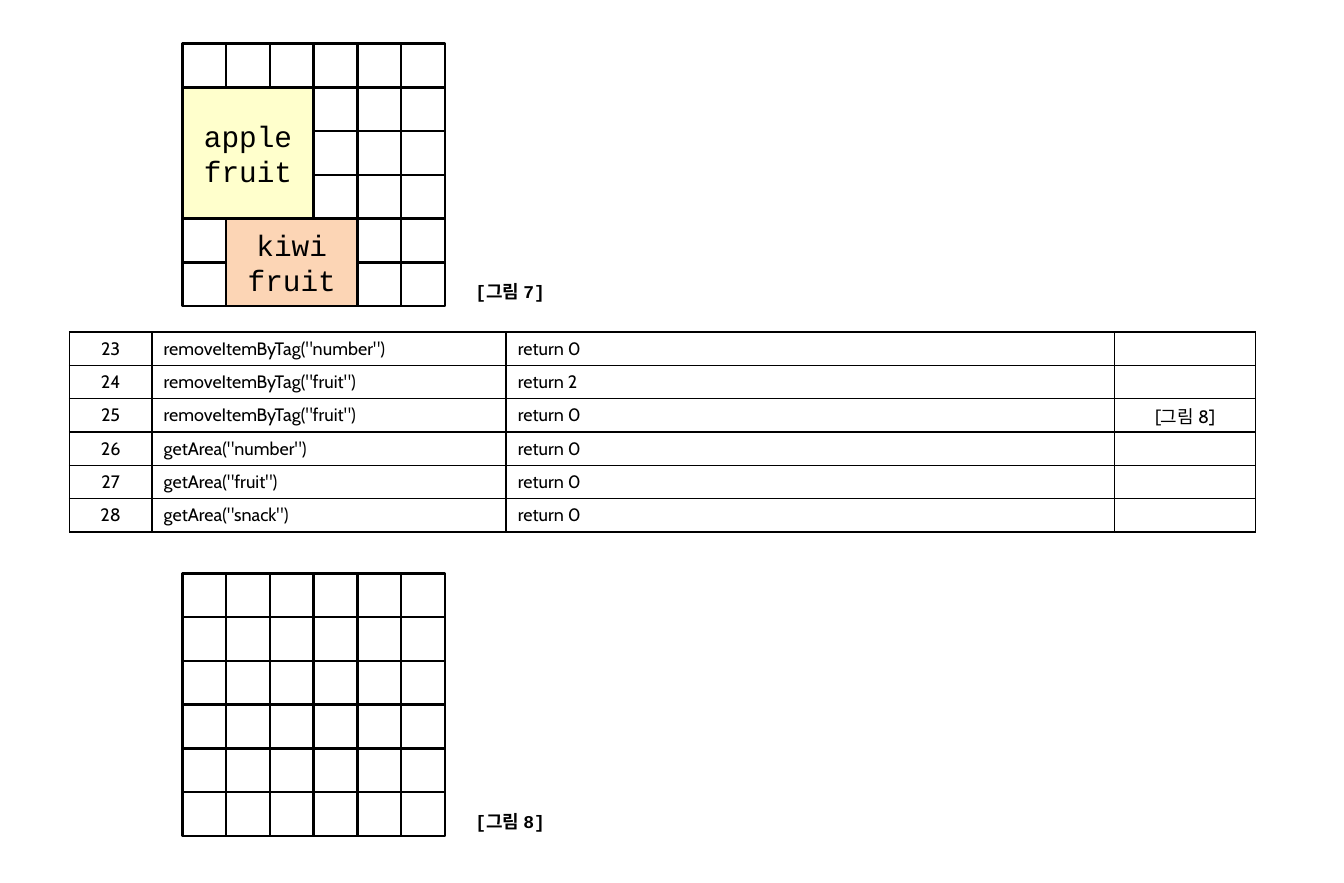
from lxml.etree import SubElement
from pptx import Presentation
from pptx.dml.color import RGBColor
from pptx.enum.shapes import MSO_SHAPE
from pptx.enum.text import MSO_ANCHOR, PP_ALIGN
from pptx.oxml.ns import qn
from pptx.util import Inches, Pt

THEME = {
    "ink": "000000",
    "apple": "FFFFCC",
    "kiwi": "FCD5B5",
    "table_font": "Cabin",
    "figure_font": "Courier New",
    "small": 11,
    "large": 18,
    "grid_line": 1.5,
    "table_line": 1,
}


def write(frame, text, font, size, bold=False, align=PP_ALIGN.LEFT, spacing=None):
    frame.word_wrap = True
    para = frame.paragraphs[0]
    para.alignment = align
    if spacing:
        para.line_spacing = spacing
    if not text:
        SubElement(para._p, qn("a:endParaRPr"), sz=str(size * 100))
        return
    span = para.add_run()
    span.text = text
    span.font.name = font
    span.font.size = Pt(size)
    span.font.bold = bold
    span.font.color.rgb = RGBColor.from_string(THEME["ink"])


def add_block(group, left, top, width, height, fill=None):
    box = group.shapes.add_shape(
        MSO_SHAPE.RECTANGLE, Inches(left), Inches(top), Inches(width), Inches(height)
    )
    box.shadow.inherit = False
    box.line.color.rgb = RGBColor.from_string(THEME["ink"])
    box.line.width = Pt(THEME["grid_line"])
    if fill:
        box.fill.solid()
        box.fill.fore_color.rgb = RGBColor.from_string(fill)
    else:
        box.fill.background()
    return box


deck = Presentation()
deck.slide_width, deck.slide_height = Inches(11.42), Inches(7.5)
page = deck.slides.add_slide(deck.slide_layouts[6])

grid_left, grid_size, count = 1.55, 2.23, 6
side = grid_size / count
items = [
    ("apple fruit", 0, 1, 3, 3, THEME["apple"]),
    ("kiwi fruit", 1, 4, 3, 2, THEME["kiwi"]),
]
figures = [("[그림 7]", 0.37, items), ("[그림 8]", 4.87, [])]

for caption, grid_top, placed in figures:
    group = page.shapes.add_group_shape()
    for index in range(count * count):
        row, column = divmod(index, count)
        add_block(group, grid_left + column * side, grid_top + row * side, side, side)
    for label, column, row, columns, rows, fill in placed:
        box = add_block(
            group, grid_left + column * side, grid_top + row * side,
            columns * side, rows * side, fill,
        )
        box.text_frame.vertical_anchor = MSO_ANCHOR.MIDDLE
        write(box.text_frame, label, THEME["figure_font"], THEME["large"],
              align=PP_ALIGN.CENTER)
    box = page.shapes.add_textbox(
        Inches(3.94), Inches(grid_top + 1.91), Inches(0.89), Inches(0.32)
    )
    write(box.text_frame, caption, THEME["figure_font"], THEME["small"],
          bold=True, spacing=1.3)

records = [
    ("23", 'removeItemByTag("number")', "return 0", ""),
    ("24", 'removeItemByTag("fruit")', "return 2", ""),
    ("25", 'removeItemByTag("fruit")', "return 0", "[그림 8]"),
    ("26", 'getArea("number")', "return 0", ""),
    ("27", 'getArea("fruit")', "return 0", ""),
    ("28", 'getArea("snack")', "return 0", ""),
]
widths = [0.7, 3.01, 5.17, 1.2]
aligns = [PP_ALIGN.CENTER, PP_ALIGN.LEFT, PP_ALIGN.LEFT, PP_ALIGN.CENTER]
table_height = 1.7

table = page.shapes.add_table(
    len(records), len(widths),
    Inches(0.59), Inches(2.82), Inches(sum(widths)), Inches(table_height),
).table
table.first_row = table.horz_banding = False
for column, width in zip(table.columns, widths):
    column.width = Inches(width)

for row, record in enumerate(records):
    table.rows[row].height = Inches(table_height / len(records))
    for column, text in enumerate(record):
        cell = table.cell(row, column)
        cell.vertical_anchor = MSO_ANCHOR.MIDDLE
        cell.margin_top = cell.margin_bottom = Inches(0.03)
        write(cell.text_frame, text, THEME["table_font"], THEME["small"],
              align=aligns[column])
        properties = cell._tc.get_or_add_tcPr()
        for edge in ("lnL", "lnR", "lnT", "lnB"):
            line = SubElement(properties, qn(f"a:{edge}"), w=str(Pt(THEME["table_line"])))
            paint = SubElement(line, qn("a:solidFill"))
            SubElement(paint, qn("a:srgbClr"), val=THEME["ink"])
        cell.fill.background()

deck.save("out.pptx")
